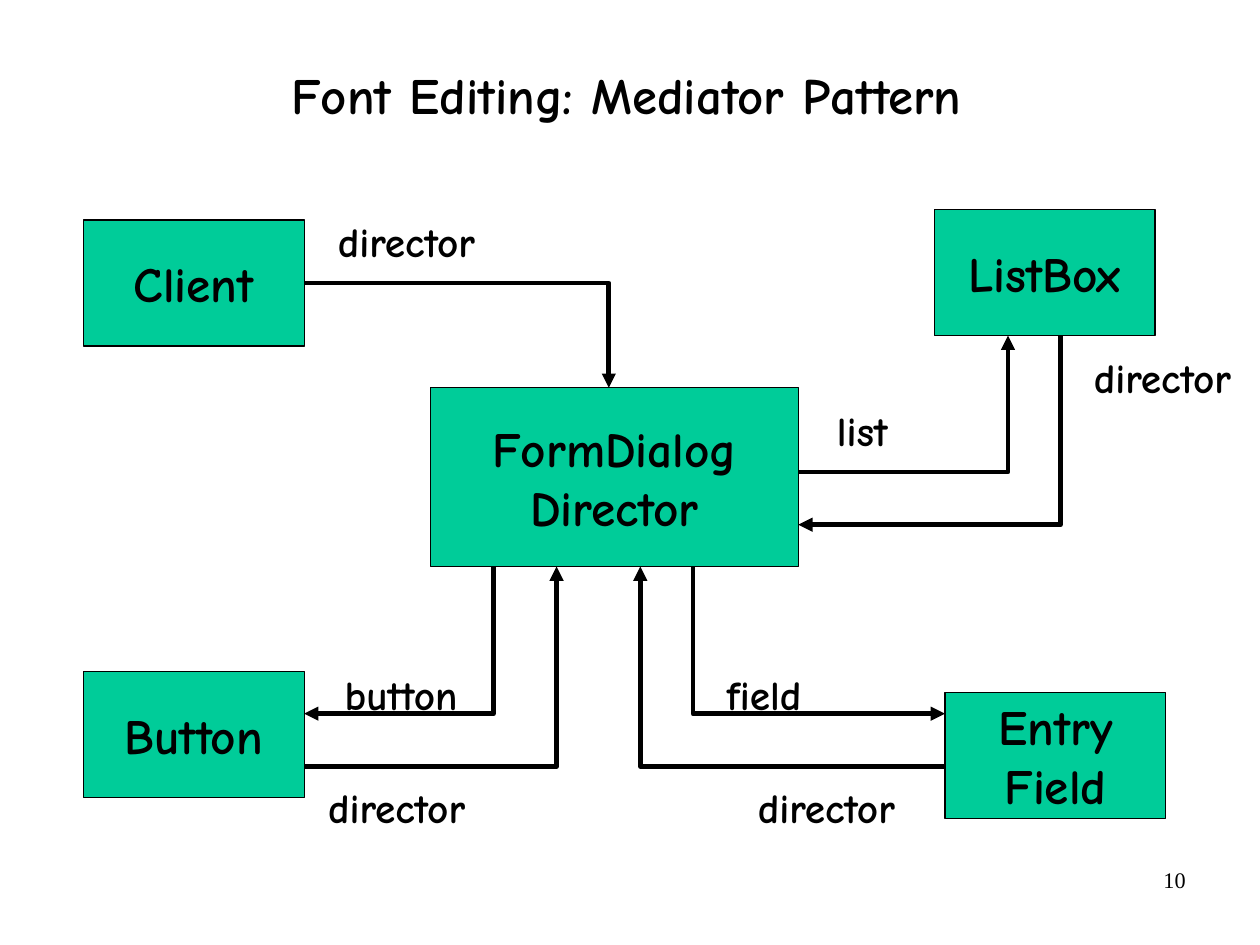
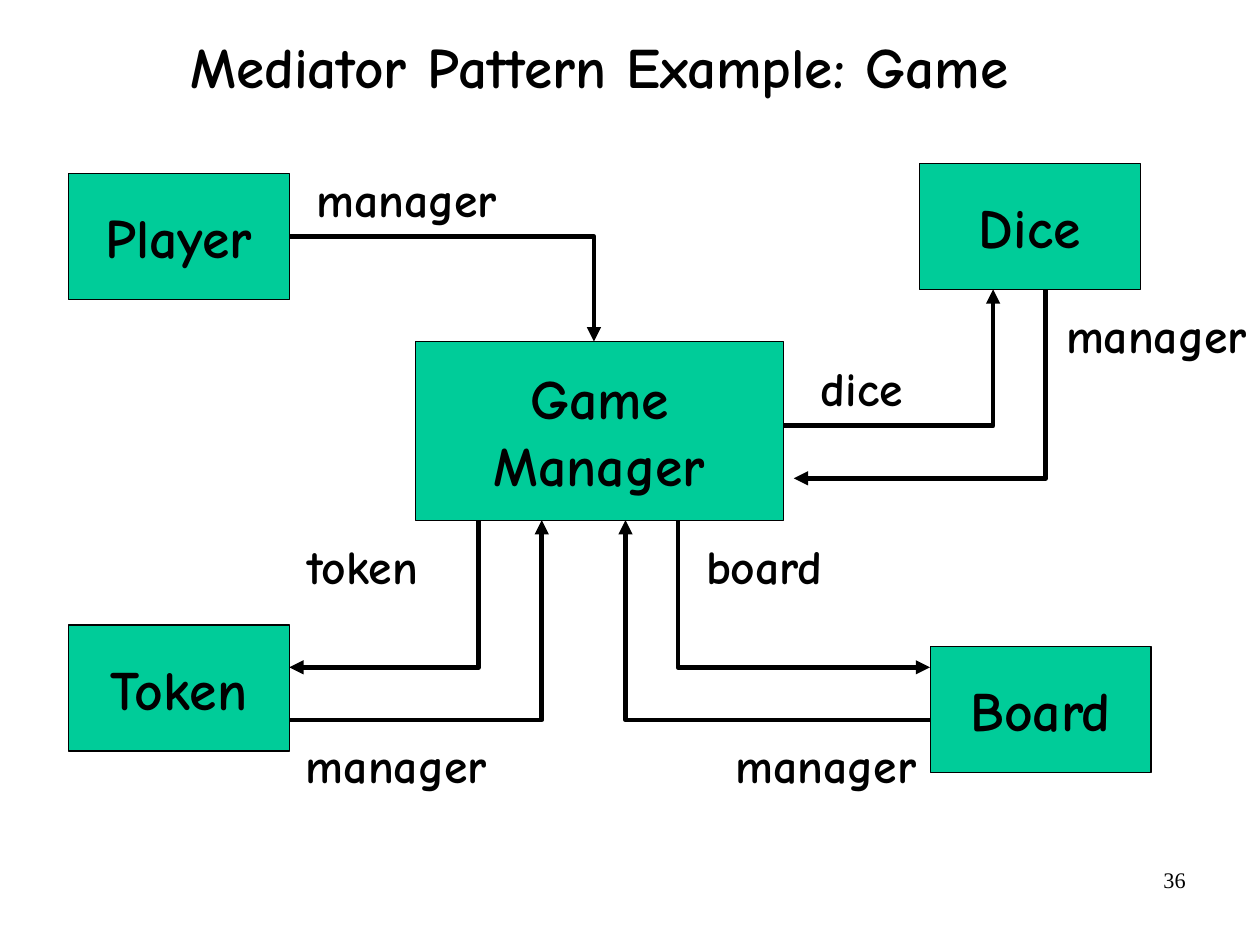
from dataclasses import dataclass

from lxml.etree import SubElement
from pptx import Presentation
from pptx.dml.color import RGBColor
from pptx.enum.shapes import MSO_SHAPE
from pptx.enum.text import MSO_ANCHOR, MSO_AUTO_SIZE, PP_ALIGN
from pptx.oxml.ns import qn
from pptx.util import Cm, Pt


@dataclass(frozen=True)
class Theme:
    font: str = "Comic Neue"
    number_font: str = "Times New Roman"
    ink: RGBColor = RGBColor(0x00, 0x00, 0x00)
    box_fill: RGBColor = RGBColor(0x00, 0xCC, 0x99)
    number_size: int = 14
    outline: float = 0.75
    arrow: float = 3
    title_spacing: float = 0.88


@dataclass(frozen=True)
class Diagram:
    """One mediator slide; origin is the top-left corner of the diagram in cm."""
    title: str
    title_area: tuple
    title_size: int
    origin: tuple
    box_size: int
    label_size: int
    label_height: float
    mediator: str
    client: str
    upper_right: str
    lower_left: str
    lower_right: str
    labels: tuple  # (text, left, top, width), measured from the origin
    return_gap: float  # between the mediator and the arrow from the upper right
    number: str


THEME = Theme()

BOX_WIDTH, BOX_HEIGHT = 4.91, 2.8
MEDIATOR_LEFT, MEDIATOR_TOP = 7.72, 3.96
MEDIATOR_WIDTH, MEDIATOR_HEIGHT = 8.17, 3.97
MEDIATOR_RIGHT = MEDIATOR_LEFT + MEDIATOR_WIDTH
MEDIATOR_BOTTOM = MEDIATOR_TOP + MEDIATOR_HEIGHT
CLIENT_TOP = 0.23
UPPER_RIGHT_LEFT = 18.91
LOWER_LEFT_TOP = 10.26
LOWER_RIGHT_LEFT, LOWER_RIGHT_TOP = 19.15, 10.73
OUTWARD_ROW, RETURN_ROW = 11.2, 12.37

CLIENT_LABEL_TOP, UPPER_RETURN_TOP, UPPER_OUTWARD_TOP, LOWER_RETURN_TOP = 0, 3.02, 4.19, 12.58

DIAGRAMS = (
    Diagram(
        title="Font Editing: Mediator Pattern",
        title_area=(1.99, 0.44, 23.88, 3.48), title_size=32,
        origin=(1.85, 4.66), box_size=31, label_size=26, label_height=1.37,
        mediator="FormDialog\nDirector", client="Client", upper_right="ListBox",
        lower_left="Button", lower_right="Entry\nField",
        labels=(
            ("director", 5.38, CLIENT_LABEL_TOP, 3.66),
            ("director", 5.16, LOWER_RETURN_TOP, 3.66),
            ("director", 14.71, LOWER_RETURN_TOP, 3.66),
            ("director", 22.18, UPPER_RETURN_TOP, 3.66),
            ("button", 5.53, 10.06, 3.1),
            ("field", 14.02, 10.06, 2.24),
            ("list", 16.47, UPPER_OUTWARD_TOP, 1.7),
        ),
        return_gap=0, number="10",
    ),
    Diagram(
        title="Mediator Pattern Example: Game",
        title_area=(0.17, -0.18, 26.29, 3.48), title_size=36,
        origin=(1.52, 3.63), box_size=35, label_size=30, label_height=1.55,
        mediator="Game\nManager", client="Player", upper_right="Dice",
        lower_left="Token", lower_right="Board",
        labels=(
            ("manager", 5.23, CLIENT_LABEL_TOP, 4.57),
            ("manager", 5, LOWER_RETURN_TOP, 4.57),
            ("manager", 14.55, LOWER_RETURN_TOP, 4.57),
            ("manager", 21.89, UPPER_RETURN_TOP, 4.57),
            ("token", 5.03, 8.15, 3.07),
            ("board", 13.89, 8.15, 3.18),
            ("dice", 16.44, UPPER_OUTWARD_TOP, 2.39),
        ),
        return_gap=0.23, number="36",
    ),
)


def set_text(frame, text, size, align, font=THEME.font, bold=True):
    frame.text = text
    for para in frame.paragraphs:
        para.alignment = align
        para.font.name = font
        para.font.size = Pt(size)
        para.font.bold = bold
        para.font.color.rgb = THEME.ink


def set_margins(frame, side, top):
    frame.margin_left = frame.margin_right = Cm(side)
    frame.margin_top = frame.margin_bottom = Cm(top)


def add_text(page, area, text, size, align, **style):
    box = page.shapes.add_textbox(*map(Cm, area))
    frame = box.text_frame
    frame.word_wrap = True
    set_text(frame, text, size, align, **style)
    return frame


def add_title(page, diagram):
    frame = add_text(page, diagram.title_area, diagram.title,
                     diagram.title_size, PP_ALIGN.CENTER)
    frame.vertical_anchor = MSO_ANCHOR.MIDDLE
    set_margins(frame, 0, 0)
    frame.paragraphs[0].line_spacing = THEME.title_spacing


def add_page_number(page, number):
    add_text(page, (20.07, 19.13, 6.53, 1.45), number, THEME.number_size,
             PP_ALIGN.RIGHT, font=THEME.number_font, bold=False)


def place(diagram, left, top):
    """Turn a position in the diagram into one on the page."""
    return Cm(diagram.origin[0] + left), Cm(diagram.origin[1] + top)


def add_box(page, diagram, text, left, top, width=BOX_WIDTH, height=BOX_HEIGHT):
    box = page.shapes.add_shape(MSO_SHAPE.RECTANGLE, *place(diagram, left, top),
                                Cm(width), Cm(height))
    box.shadow.inherit = False
    box.fill.solid()
    box.fill.fore_color.rgb = THEME.box_fill
    box.line.color.rgb = THEME.ink
    box.line.width = Pt(THEME.outline)
    frame = box.text_frame
    frame.word_wrap = False
    frame.vertical_anchor = MSO_ANCHOR.MIDDLE
    set_margins(frame, 0.28, 0.15)
    set_text(frame, text, diagram.box_size, PP_ALIGN.CENTER)


def add_label(page, diagram, text, left, top, width):
    box = page.shapes.add_textbox(*place(diagram, left, top),
                                  Cm(width), Cm(diagram.label_height))
    frame = box.text_frame
    frame.word_wrap = False
    frame.auto_size = MSO_AUTO_SIZE.SHAPE_TO_FIT_TEXT
    set_margins(frame, 0.28, 0.15)
    frame.margin_right = Cm(0.1)
    set_text(frame, text, diagram.label_size, PP_ALIGN.LEFT)


def add_elbow(page, diagram, start, end, arrow_end):
    """Draw a line across and then up or down; arrow_end is headEnd or tailEnd."""
    builder = page.shapes.build_freeform(*place(diagram, *start))
    corner = (end[0], start[1])
    builder.add_line_segments([place(diagram, *corner), place(diagram, *end)], close=False)
    elbow = builder.convert_to_shape()
    elbow.shadow.inherit = False
    elbow.fill.background()
    elbow.line.color.rgb = THEME.ink
    elbow.line.width = Pt(THEME.arrow)
    line = elbow.element.spPr.find(qn("a:ln"))
    SubElement(line, qn(f"a:{arrow_end}"), type="triangle")


def add_boxes(page, diagram):
    add_box(page, diagram, diagram.mediator, MEDIATOR_LEFT, MEDIATOR_TOP,
            MEDIATOR_WIDTH, MEDIATOR_HEIGHT)
    add_box(page, diagram, diagram.client, 0, CLIENT_TOP)
    add_box(page, diagram, diagram.upper_right, UPPER_RIGHT_LEFT, 0)
    add_box(page, diagram, diagram.lower_left, 0, LOWER_LEFT_TOP)
    add_box(page, diagram, diagram.lower_right, LOWER_RIGHT_LEFT, LOWER_RIGHT_TOP)


def add_arrows(page, diagram):
    elbows = (
        ((BOX_WIDTH, CLIENT_TOP + BOX_HEIGHT / 2), (11.68, MEDIATOR_TOP), "tailEnd"),
        ((BOX_WIDTH, OUTWARD_ROW), (9.12, MEDIATOR_BOTTOM), "headEnd"),
        ((BOX_WIDTH, RETURN_ROW), (10.52, MEDIATOR_BOTTOM), "tailEnd"),
        ((LOWER_RIGHT_LEFT, OUTWARD_ROW), (13.55, MEDIATOR_BOTTOM), "headEnd"),
        ((LOWER_RIGHT_LEFT, RETURN_ROW), (12.38, MEDIATOR_BOTTOM), "tailEnd"),
        ((MEDIATOR_RIGHT, 5.83), (20.55, BOX_HEIGHT), "tailEnd"),
        ((MEDIATOR_RIGHT + diagram.return_gap, 7), (21.72, BOX_HEIGHT), "headEnd"),
    )
    for start, end, arrow_end in elbows:
        add_elbow(page, diagram, start, end, arrow_end)


def main():
    deck = Presentation()
    deck.slide_width, deck.slide_height = Cm(28), Cm(21)
    for diagram in DIAGRAMS:
        page = deck.slides.add_slide(deck.slide_layouts[6])
        add_page_number(page, diagram.number)
        add_title(page, diagram)
        add_boxes(page, diagram)
        add_arrows(page, diagram)
        for label in diagram.labels:
            add_label(page, diagram, *label)
    deck.save("out.pptx")


if __name__ == "__main__":
    main()
